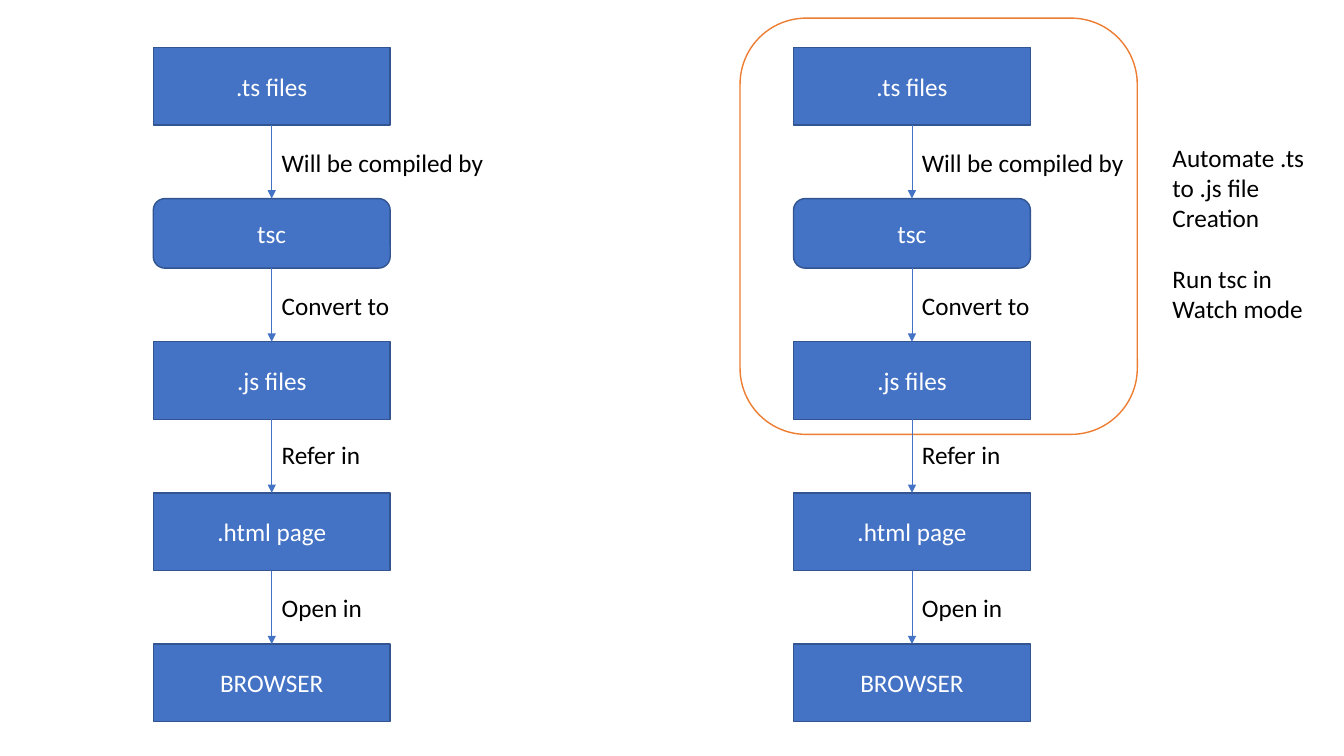
from lxml import etree
from pptx import Presentation
from pptx.dml.color import RGBColor
from pptx.enum.shapes import MSO_CONNECTOR, MSO_SHAPE
from pptx.enum.text import MSO_ANCHOR, MSO_AUTO_SIZE, PP_ALIGN
from pptx.oxml.ns import qn
from pptx.util import Inches, Pt

RECT = MSO_SHAPE.RECTANGLE
ROUNDED = MSO_SHAPE.ROUNDED_RECTANGLE
STRAIGHT = MSO_CONNECTOR.STRAIGHT
MIDDLE = MSO_ANCHOR.MIDDLE
FIT_SHAPE = MSO_AUTO_SIZE.SHAPE_TO_FIT_TEXT
CENTER = PP_ALIGN.CENTER
LEFT = PP_ALIGN.LEFT

WHITE = RGBColor(0xFF, 0xFF, 0xFF)
BLACK = RGBColor(0x00, 0x00, 0x00)
BLUE = RGBColor(0x44, 0x72, 0xC4)
DARK_BLUE = RGBColor(0x32, 0x54, 0x91)
ORANGE = RGBColor(0xED, 0x7D, 0x31)

FLOW_LEFTS = [1.52, 7.87]
STEP_WIDTH = 2.35
STEPS = [
    (".ts files", RECT, 0.47, 0.77),
    ("tsc", ROUNDED, 1.97, 0.69),
    (".js files", RECT, 3.39, 0.77),
    (".html page", RECT, 4.89, 0.77),
    ("BROWSER", RECT, 6.39, 0.77),
]
LABELS = [
    ("Will be compiled by", 1.41, 2.23),
    ("Convert to", 2.83, 1.28),
    ("Refer in", 4.31, 0.99),
    ("Open in", 5.83, 1.01),
]
NOTE = ["Automate .ts", "to .js file", "Creation", "Run tsc in", "Watch mode"]


def add_box(shape, left, top, width, height, fill, line):
    sp = slide.shapes.add_shape(shape, Inches(left), Inches(top), Inches(width), Inches(height))
    sp.shadow.inherit = False
    sp.fill.solid()
    sp.fill.fore_color.rgb = fill
    sp.line.color.rgb = line
    sp.line.width = Pt(1)
    return sp


def write(tf, lines, color, align):
    tf.text = "\n".join(lines)
    for p in tf.paragraphs:
        p.alignment = align
        p.font.name = "Calibri"
        p.font.size = Pt(18)
        p.font.color.rgb = color


prs = Presentation()
prs.slide_width = Inches(13.33)
prs.slide_height = Inches(7.5)
slide = prs.slides.add_slide(prs.slide_layouts[6])

add_box(ROUNDED, 7.34, 0.18, 3.94, 4.13, WHITE, ORANGE)

texts = [([label], left + STEP_WIDTH / 2, top, width, 0.4)
         for left in FLOW_LEFTS for label, top, width in LABELS]
texts.append((NOTE, 11.53, 1.36, 1.58, 1.92))

for left in FLOW_LEFTS:
    boxes = []
    for name, shape, top, height in STEPS:
        sp = add_box(shape, left, top, STEP_WIDTH, height, BLUE, DARK_BLUE)
        sp.text_frame.vertical_anchor = MIDDLE
        write(sp.text_frame, [name], WHITE, CENTER)
        boxes.append(sp)
    for upper, lower in zip(boxes, boxes[1:]):
        arrow = slide.shapes.add_connector(STRAIGHT, 0, 0, 0, 0)
        arrow.begin_connect(upper, 2)
        arrow.end_connect(lower, 0)
        arrow.line.color.rgb = BLUE
        arrow.line.width = Pt(0.5)
        etree.SubElement(arrow.line._get_or_add_ln(), qn("a:tailEnd"), type="triangle")
        etree.SubElement(arrow._element.spPr, qn("a:effectLst"))

for lines, left, top, width, height in texts:
    box = slide.shapes.add_textbox(Inches(left), Inches(top), Inches(width), Inches(height))
    tf = box.text_frame
    tf.word_wrap = False
    tf.auto_size = FIT_SHAPE
    write(tf, lines, BLACK, LEFT)
tf.paragraphs[3].space_before = Pt(22)

prs.save("out.pptx")
